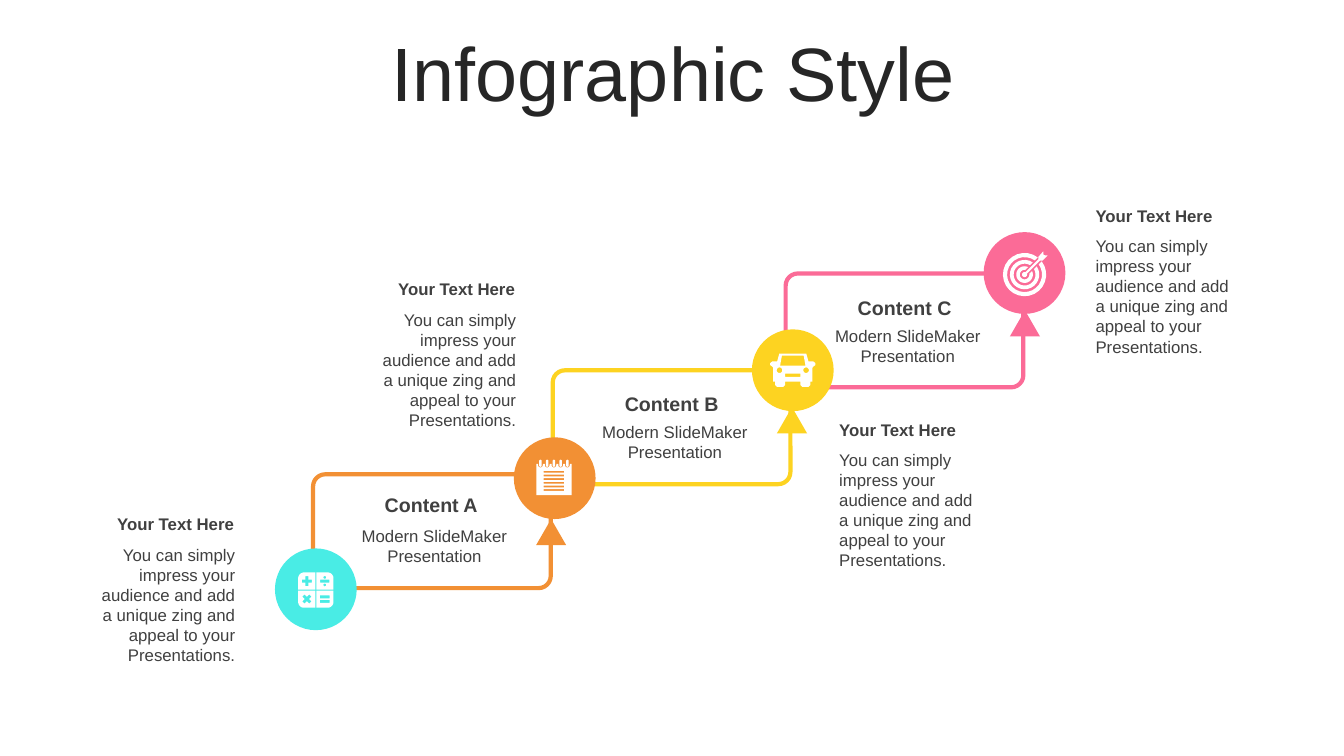
from dataclasses import dataclass
from math import asin, cos, degrees, radians, sin

from pptx import Presentation
from pptx.dml.color import RGBColor
from pptx.enum.shapes import MSO_SHAPE
from pptx.enum.text import MSO_ANCHOR, MSO_AUTO_SIZE, PP_ALIGN
from pptx.util import Cm, Pt

RECT, OVAL, TRIANGLE = MSO_SHAPE.ROUNDED_RECTANGLE, MSO_SHAPE.OVAL, MSO_SHAPE.ISOSCELES_TRIANGLE
LEFT, CENTER, RIGHT = PP_ALIGN.LEFT, PP_ALIGN.CENTER, PP_ALIGN.RIGHT
MIDDLE, TOP = MSO_ANCHOR.MIDDLE, MSO_ANCHOR.TOP
GROW, FIXED = MSO_AUTO_SIZE.SHAPE_TO_FIT_TEXT, MSO_AUTO_SIZE.NONE

Contour = list[tuple[float, float]]


@dataclass(frozen=True)
class Theme:
    font: str = "Arial"
    title: str = "262626"
    text: str = "404040"
    icon: str = "FFFFFF"
    cyan: str = "49ECE5"
    orange: str = "F29034"
    yellow: str = "FDD321"
    pink: str = "FB6B97"
    title_size: int = 54
    label_size: int = 14
    body_size: int = 12
    line_width: int = 3


THEME = Theme()


@dataclass(frozen=True)
class Step:
    label: str
    color: str
    frame: tuple[float, float]
    arrow: tuple[float, float]
    text: tuple[float, float]
    text_width: float
    body_gap: float


@dataclass(frozen=True)
class Stop:
    color: str
    center: tuple[float, float]
    icon_shift: tuple[float, float]
    icon: list[Contour]
    note: tuple[float, float]
    align: PP_ALIGN


def arc(cx: float, cy: float, r: float, start: float = 0, end: float = 360) -> Contour:
    n = 24
    angles = [radians(start + (end - start) * i / n) for i in range(n + 1)]
    return [(cx + r * cos(a), cy + r * sin(a)) for a in angles]


def box(cx: float, cy: float, w: float, h: float) -> Contour:
    return [(cx + sx * w / 2, cy + sy * h / 2) for sx, sy in ((-1, -1), (1, -1), (1, 1), (-1, 1))]


def plus(cx: float, cy: float, turn: float) -> Contour:
    points = []
    for quarter in range(4):
        a = radians(turn + 90 * quarter)
        for x, y in ((1.25, -0.4), (1.25, 0.4), (0.4, 0.4)):
            points.append((cx + x * cos(a) - y * sin(a), cy + x * sin(a) + y * cos(a)))
    return points


def ring(outer: float, inner: float) -> Contour:
    gap_out, gap_in = (degrees(asin(0.7 / r)) for r in (outer, inner))
    return arc(0, 0, outer, gap_out - 45, 315 - gap_out) + arc(0, 0, inner, 315 - gap_in, gap_in - 45)


def calculator() -> list[Contour]:
    key = [(0.13, 0.13), (4.45, 0.13), *arc(2.95, 2.95, 1.5, 0, 90), (0.13, 4.45)]
    keys = [[(sx * x, sy * y) for x, y in key] for sx in (-1, 1) for sy in (-1, 1)]
    c = 2.25
    divide = [box(c, -c, 2.3, 0.75), arc(c, -c - 0.95, 0.35), arc(c, -c + 0.95, 0.35)]
    equals = [box(c, c + dy, 2.4, 0.75) for dy in (-0.57, 0.57)]
    return [*keys, plus(-c, -c, 0), plus(-c, c, 45), *divide, *equals]


def notepad() -> list[Contour]:
    edge, top = 4.45, -3.43
    holes = [1.7 * i for i in range(-2, 3)]
    page = [(-edge, top)]
    for x in holes:
        page += [(x - 0.6, top), *arc(x, -3.1, 0.6, 180, 0), (x + 0.6, top)]
    page += [(edge, top), (edge, edge), (-edge, edge)]
    pins = [arc(x, -4.15, 0.3, 180, 360) + arc(x, -2.97, 0.3, 0, 180) for x in holes]
    rules = [box(0, -1.4 + 0.92 * i, 5.2, 0.45) for i in range(6)]
    return [page, *pins, *rules]


def car() -> list[Contour]:
    half = [(3.4, -4.2), (3.95, -2.2), (5.2, -2.2), (5.7, -1.8), (5.7, -1.3), (5.1, -0.85),
            (4.95, -0.6), (4.95, 2.9), (4.45, 2.9), (4.45, 3.7), (3.95, 4.2),
            (2.4, 4.2), (1.9, 3.7), (1.9, 2.9)]
    body = half + [(-x, y) for x, y in reversed(half)]
    window = [(-2.75, -3.65), (2.75, -3.65), (3.2, -1.15), (-3.2, -1.15)]
    return [body, window, arc(-3.35, 0, 0.7), arc(3.35, 0, 0.7), box(0, 1.27, 3.8, 0.8)]


def target() -> list[Contour]:
    dart = [(4.7, -5.85), (4.8, -4.9), (5.8, -4.8), (4.5, -3.5), (3.9, -3.5),
            *arc(0, 0, 0.63, -20, 290), (3.5, -3.9), (3.5, -4.5)]
    return [ring(5.45, 4.4), ring(3.7, 2.75), ring(2.1, 1.2), dart]


STEPS = [
    Step("Content A", THEME.orange, (9.45, 10.39), (13.51, 13.08), (8.43, 12.29), 4.88, 0.84),
    Step("Content B", THEME.yellow, (15.49, 7.77), (19.58, 10.26), (14.58, 9.75), 4.7, 0.76),
    Step("Content C", THEME.pink, (21.36, 5.33), (25.45, 7.82), (20.45, 7.32), 4.7, 0.76),
]
STOPS = [
    Stop(THEME.cyan, (7.96, 14.85), (0, 0.02), calculator(), (2.24, 12.83), RIGHT),
    Stop(THEME.orange, (13.98, 12.05), (-0.02, -0.02), notepad(), (9.32, 6.91), RIGHT),
    Stop(THEME.yellow, (19.98, 9.33), (0, 0), car(), (20.9, 10.44), LEFT),
    Stop(THEME.pink, (25.82, 6.88), (0, 0.04), target(), (27.36, 5.05), LEFT),
]
NOTE_HEAD = "Your Text Here"
NOTE_BODY = "You can simply impress your audience and add a unique zing and appeal to your Presentations."
STEP_BODY = "Modern SlideMaker Presentation"


def rgb(color: str) -> RGBColor:
    return RGBColor.from_string(color)


def paint(sp, color: str) -> None:
    sp.shadow.inherit = False
    sp.fill.solid()
    sp.fill.fore_color.rgb = rgb(color)
    sp.line.fill.background()


def add_solid(s, kind: MSO_SHAPE, x: float, y: float, w: float, h: float, color: str) -> None:
    paint(s.shapes.add_shape(kind, Cm(x), Cm(y), Cm(w), Cm(h)), color)


def add_frame(s, step: Step) -> None:
    x, y = step.frame
    sp = s.shapes.add_shape(RECT, Cm(x), Cm(y), Cm(2.87), Cm(5.99))
    sp.rotation = 270
    sp.adjustments[0] = 0.107
    sp.shadow.inherit = False
    sp.fill.background()
    sp.line.color.rgb = rgb(step.color)
    sp.line.width = Pt(THEME.line_width)


def add_icon(s, stop: Stop) -> None:
    contours = [[(100 * x, 100 * y) for x, y in c] for c in stop.icon]
    first, *others = contours
    builder = s.shapes.build_freeform(*first[0], scale=Cm(0.001))
    builder.add_line_segments(first[1:], close=True)
    for contour in others:
        builder.move_to(*contour[0])
        builder.add_line_segments(contour[1:], close=True)
    x, y = (c + d for c, d in zip(stop.center, stop.icon_shift))
    paint(builder.convert_to_shape(Cm(x), Cm(y)), THEME.icon)


def add_text(s, text: str, x: float, y: float, w: float, h: float, size: int, align: PP_ALIGN,
             bold: bool = False, color: str = THEME.text, inset: float = 0.25):
    tf = s.shapes.add_textbox(Cm(x), Cm(y), Cm(w), Cm(h)).text_frame
    tf.word_wrap = True
    tf.auto_size = GROW
    tf.vertical_anchor = TOP
    tf.margin_left = Cm(inset)
    p = tf.paragraphs[0]
    p.text = text
    p.alignment = align
    p.font.name = THEME.font
    p.font.size = Pt(size)
    p.font.bold = bold
    p.font.color.rgb = rgb(color)
    return tf


def main() -> None:
    prs = Presentation()
    prs.slide_width, prs.slide_height = Cm(33.87), Cm(19.05)
    s = prs.slides.add_slide(prs.slide_layouts[6])
    tf = add_text(s, "Infographic Style", 0.89, 0.94, 32.16, 2.01, THEME.title_size, CENTER, color=THEME.title)
    tf.auto_size = FIXED
    tf.vertical_anchor = MIDDLE
    tf.paragraphs[0].line_spacing = 0.9
    for step in STEPS:
        add_frame(s, step)
    diameter = 2.06
    for stop in STOPS:
        x, y = (c - diameter / 2 for c in stop.center)
        add_solid(s, OVAL, x, y, diameter, diameter, stop.color)
        add_icon(s, stop)
    for step in STEPS:
        x, y = step.text
        add_text(s, STEP_BODY, x, y + step.body_gap, step.text_width, 1.27, THEME.body_size, CENTER, inset=0.41)
        add_text(s, step.label, x, y, step.text_width, 0.86, THEME.label_size, CENTER, bold=True)
        add_solid(s, TRIANGLE, *step.arrow, 0.76, 0.66, step.color)
    for stop in STOPS:
        x, y = stop.note
        add_text(s, NOTE_BODY, x, y + 0.76, 3.94, 3.33, THEME.body_size, stop.align)
        add_text(s, NOTE_HEAD, x, y, 3.91, 0.76, THEME.body_size, stop.align, bold=True)
    prs.save("out.pptx")


if __name__ == "__main__":
    main()
